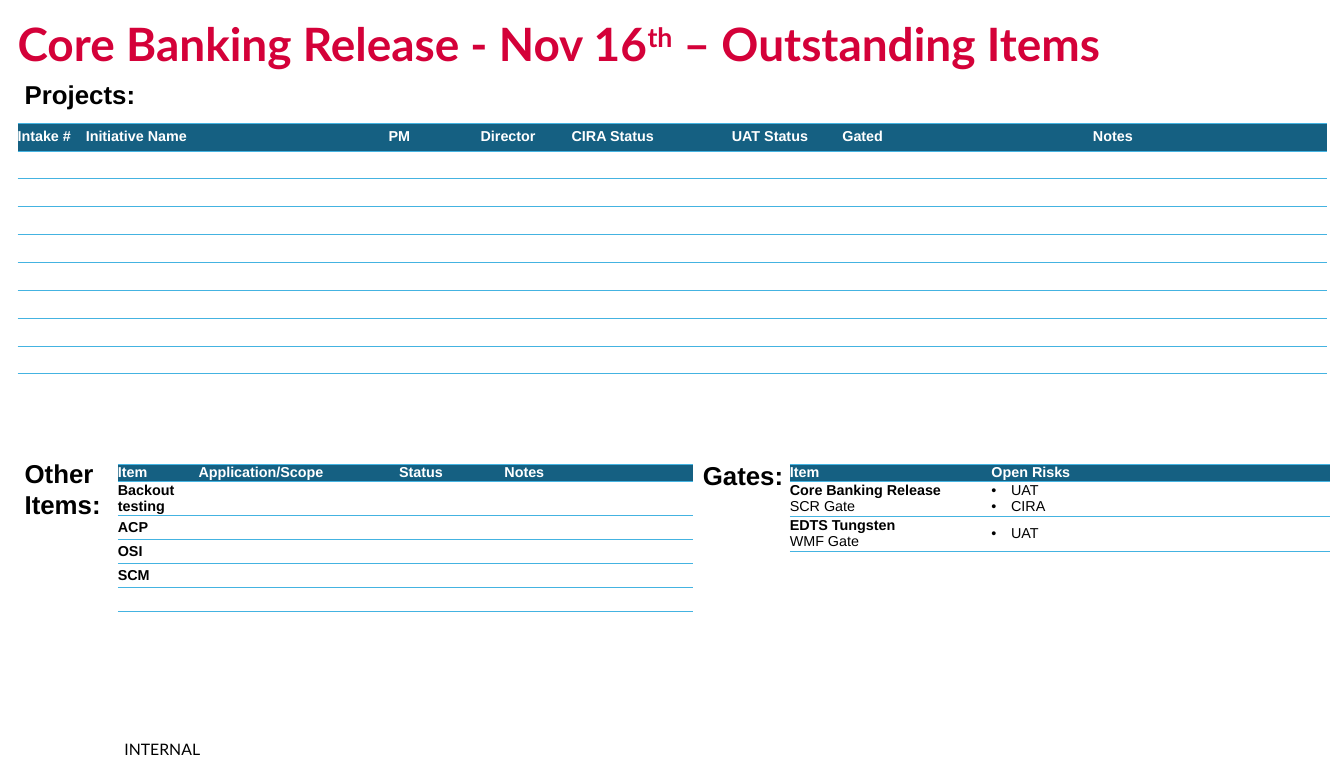
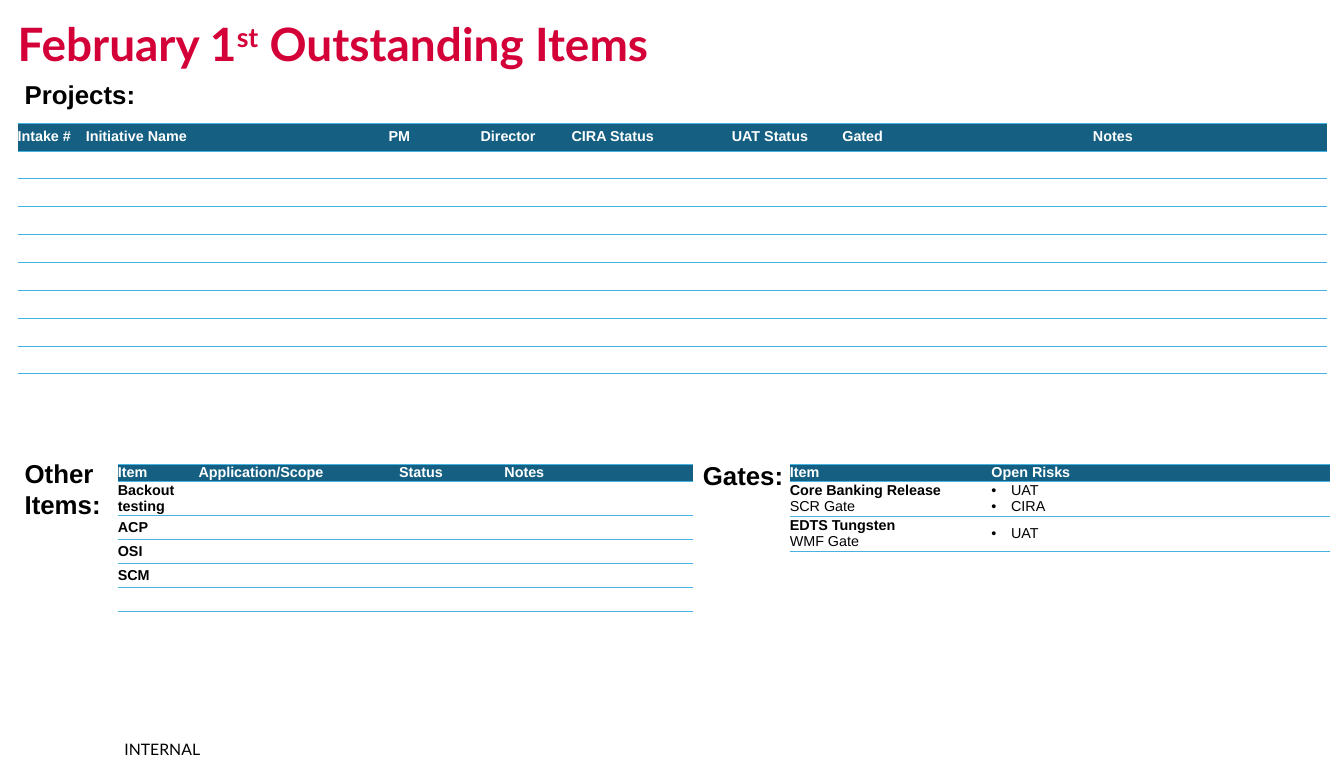
from lxml import etree
from pptx import Presentation
from pptx import util as u
from pptx.dml.color import RGBColor
from pptx.enum import text
from pptx.oxml.ns import qn

HUES = {"title": "D40139", "head": "156082", "line": "44B3E1", "ink": "000000", "paper": "FFFFFF"}
FONTS = {
    "title": {"name": "Lato", "size": u.Pt(32), "bold": True},
    "foot": {"name": "Lato", "size": u.Pt(11), "bold": False},
    "label": {"name": "Arial", "size": u.Pt(18), "bold": True},
    "cell": {"name": "Arial", "size": u.Pt(10)},
}
MARGINS = ("margin_left", "margin_top", "margin_right", "margin_bottom")
MID, LOW = text.MSO_ANCHOR.MIDDLE, text.MSO_ANCHOR.BOTTOM
LEFT, CENTER = text.PP_ALIGN.LEFT, text.PP_ALIGN.CENTER
FIT, FIXED = text.MSO_AUTO_SIZE.SHAPE_TO_FIT_TEXT, text.MSO_AUTO_SIZE.NONE

PROJECTS = ["Intake #", "Initiative Name", "PM", "Director",
            "CIRA Status", "UAT Status", "Gated", "Notes"]
OTHERS = [["Item", "Application/Scope", "Status", "Notes"],
          ["Backout testing"], ["ACP"], ["OSI"], ["SCM"], []]
GATES = [["Item", "Open Risks"],
         ["Core Banking Release\nSCR Gate", "UAT\nCIRA"],
         ["EDTS Tungsten\nWMF Gate", "UAT"]]
TITLES = [("Core Banking Release - Nov 16", "th", " – Outstanding Items"),
          ("February 1", "st", " Outstanding Items")]


def assign(item, values):
    for key, value in values.items():
        setattr(item, key, value)


class Deck:
    """Holds the shared style and the slide being built."""

    def __init__(self):
        self.prs = Presentation()
        assign(self.prs, {"slide_width": u.Inches(13), "slide_height": u.Inches(7.5)})

    def start(self, parts):
        self.slide = self.prs.slides.add_slide(self.prs.slide_layouts[5])
        title = self.slide.shapes.title
        spots = zip(("left", "top", "width", "height"), (0.17, 0.07, 11.96, 0.73))
        assign(title, {key: u.Inches(size) for key, size in spots})
        frame = title.text_frame
        assign(frame, dict.fromkeys(MARGINS, 0))
        assign(frame, {"margin_bottom": u.Inches(0.12), "vertical_anchor": LOW,
                       "word_wrap": True, "auto_size": FIXED})
        par = frame.paragraphs[0]
        par.alignment = LEFT
        runs = [self.span(par, part, "title", "title") for part in parts]
        runs[1].font._element.set("baseline", "30000")

    def span(self, par, words, style, hue, **more):
        run = par.add_run()
        run.text = words
        assign(run.font, {**FONTS[style], **more})
        run.font.color.rgb = RGBColor.from_string(HUES[hue])
        return run

    def box(self, spot, words, style, wrap=True):
        frame = self.slide.shapes.add_textbox(*map(u.Inches, spot)).text_frame
        assign(frame, {"word_wrap": wrap, "auto_size": FIT})
        par = frame.paragraphs[0]
        self.span(par, words, style, "ink")
        return frame, par

    def footer(self):
        frame, par = self.box((1.03, 7.16, 1.08, 0.18), "INTERNAL", "foot")
        assign(frame, dict.fromkeys(MARGINS, 0))
        frame.vertical_anchor = LOW
        assign(par, {"alignment": CENTER, "line_spacing": u.Pt(14)})

    def border(self, cell):
        props = cell._tc.get_or_add_tcPr()
        for side in "LRTB":
            line = etree.SubElement(props, qn(f"a:ln{side}"), w=str(u.Pt(0.5)))
            if side in "LR":
                etree.SubElement(line, qn("a:noFill"))
            else:
                fill = etree.SubElement(line, qn("a:solidFill"))
                etree.SubElement(fill, qn("a:srgbClr"), val=HUES["line"])

    def bullet(self, par):
        props = par._p.get_or_add_pPr()
        gap = u.Inches(0.19)
        props.set("marL", str(gap))
        props.set("indent", str(-gap))
        etree.SubElement(props, qn("a:buFont"), typeface="Arial")
        etree.SubElement(props, qn("a:buChar"), char="•")

    def fill(self, cell, words, row, col):
        assign(cell, dict.fromkeys(MARGINS, 0))
        cell.vertical_anchor = MID
        self.border(cell)
        cell.fill.solid()
        cell.fill.fore_color.rgb = RGBColor.from_string(HUES["paper" if row else "head"])
        frame = cell.text_frame
        if not words:
            etree.SubElement(frame.paragraphs[0]._p, qn("a:endParaRPr"), sz="1000")
            return
        for num, line in enumerate(words.split("\n")):
            par = frame.add_paragraph() if num else frame.paragraphs[0]
            if row and col:
                self.bullet(par)
            self.span(par, line, "cell", "ink" if row else "paper",
                      bold=row == 0 or (col == 0 and num == 0))

    def table(self, left, top, cols, rows, data):
        spot = map(u.Inches, (left, top, sum(cols), sum(rows)))
        grid = self.slide.shapes.add_table(len(rows), len(cols), *spot).table
        grid.horz_banding = False
        for col, width in enumerate(cols):
            grid.columns[col].width = u.Inches(width)
        for row, height in enumerate(rows):
            grid.rows[row].height = u.Inches(height)
            for col in range(len(cols)):
                words = data[row][col] if col < len(data[row]) else ""
                self.fill(grid.cell(row, col), words, row, col)
        return grid


def main():
    deck = Deck()
    for parts in TITLES:
        deck.start(parts)
        deck.footer()
        grid = deck.table(0.17, 1.19, [0.66, 2.93, 0.89, 0.88, 1.55, 0.92, 0.69, 4.15],
                          [0.27] * 9, [PROJECTS] + [[]] * 8)
        for col in (6, 7):
            grid.cell(0, col).text_frame.paragraphs[0].alignment = CENTER
        deck.table(1.14, 4.49, [0.78, 1.94, 1.02, 1.82], [0.11] + [0.23] * 5, OTHERS)
        deck.table(7.64, 4.49, [1.95, 3.27], [0.12, 0.34, 0.23], GATES)
        deck.box((6.7, 4.4, 0.99, 0.4), "Gates:", "label", wrap=False)
        deck.box((0.14, 0.71, 1.28, 0.4), "Projects:", "label", wrap=False)
        deck.box((0.14, 4.38, 1.6, 0.71), "Other Items:", "label")
    deck.prs.save("out.pptx")


if __name__ == "__main__":
    main()
